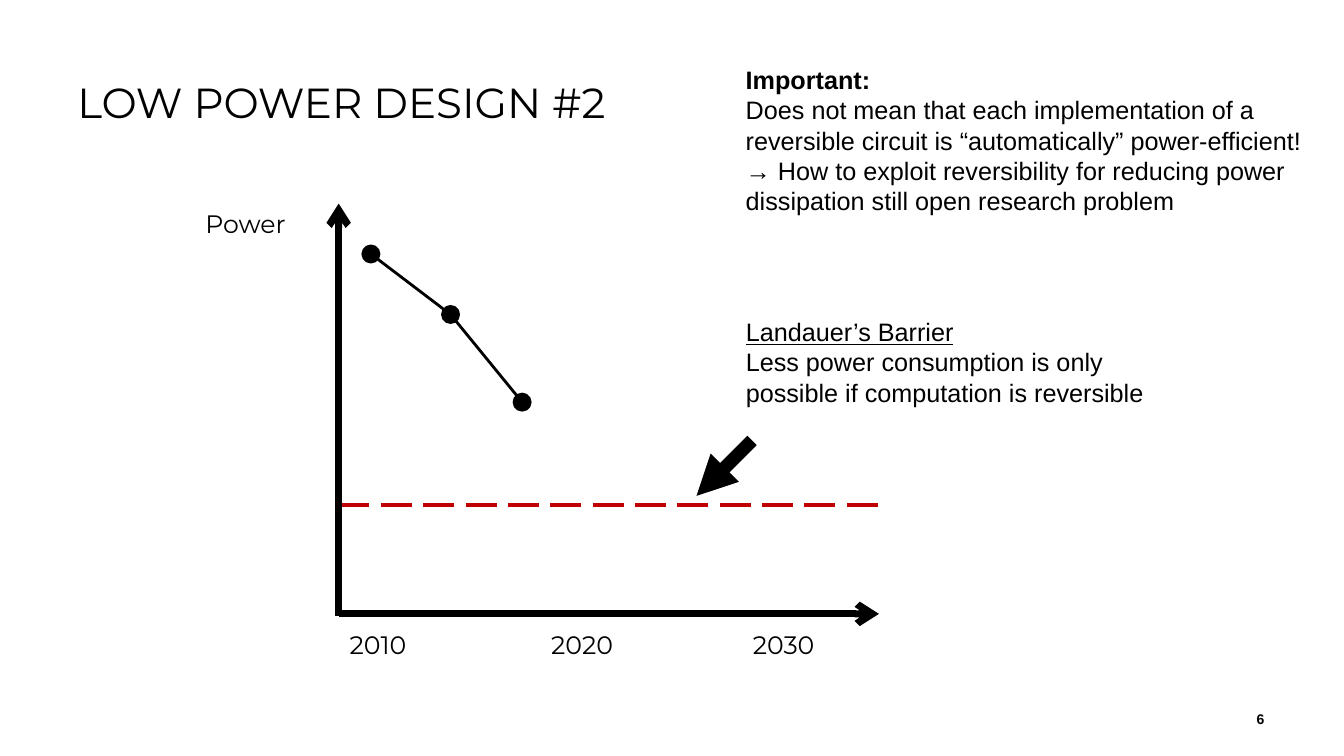
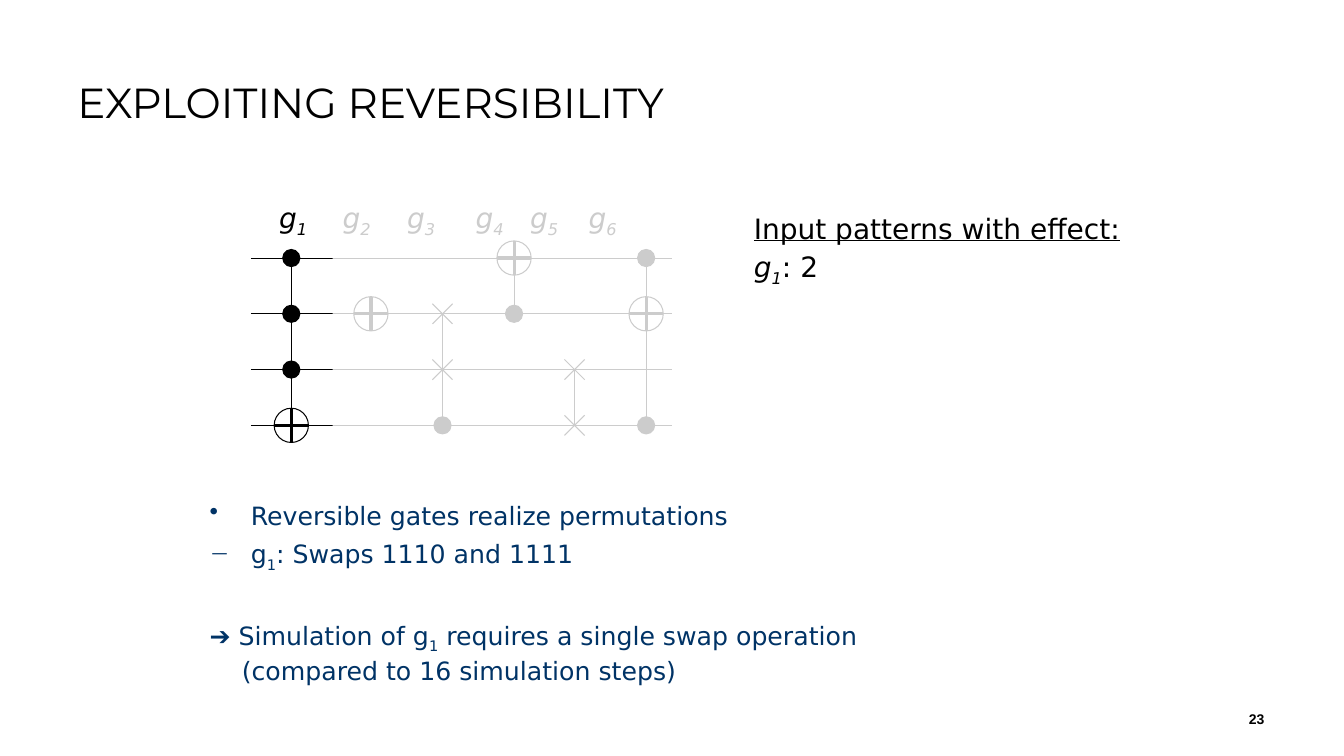
from dataclasses import dataclass
from typing import Optional

import lxml.etree
import pptx
import pptx.dml.color
import pptx.enum.dml
import pptx.enum.shapes
import pptx.enum.text
import pptx.oxml.ns
import pptx.util

CELL = pptx.util.Inches(0.1)
COLS, ROWS = 133.33, 75

BLACK = pptx.dml.color.RGBColor(0x00, 0x00, 0x00)
WHITE = pptx.dml.color.RGBColor(0xFF, 0xFF, 0xFF)
RED = pptx.dml.color.RGBColor(0xC0, 0x00, 0x00)
NAVY = pptx.dml.color.RGBColor(0x00, 0x33, 0x66)

HEAD_FONT, BODY_FONT, MATH_FONT = "Montserrat", "Arial", "DejaVu Sans"
BREAK = "\v"
ALIGN = pptx.enum.text.PP_ALIGN
ANCHOR = pptx.enum.text.MSO_ANCHOR
OVAL = pptx.enum.shapes.MSO_SHAPE.OVAL
RECT = pptx.enum.shapes.MSO_SHAPE.RECTANGLE


@dataclass(frozen=True)
class Box:
    col: float
    row: float
    cols: float
    rows: float


@dataclass(frozen=True)
class Style:
    font: str
    size: float
    color: pptx.dml.color.RGBColor = BLACK
    bold: bool = False
    italic: bool = False
    underline: bool = False


@dataclass(frozen=True)
class Span:
    text: str
    sub: bool = False
    bold: bool = False
    italic: bool = False
    underline: bool = False


@dataclass(frozen=True)
class Para:
    spans: tuple[Span, ...]
    bullet: str = ""
    hang: float = 0
    before: float = 0
    tabs: tuple[float, ...] = ()
    align: ALIGN = ALIGN.LEFT
    spacing: float = 1.0


@dataclass(frozen=True)
class Gate:
    col: float
    label_tab: float
    controls: tuple[int, ...] = ()
    targets: tuple[int, ...] = ()
    swaps: tuple[int, ...] = ()


TITLE_BOX = Box(6.7, 7.9, 118.7, 9.6)
NUMBER_BOX = Box(118.9, 69.3, 7.5, 4)
TITLE = Style(HEAD_FONT, 30)
NUMBER = Style(BODY_FONT, 10, bold=True)
AXIS = Style(HEAD_FONT, 18)
NOTE = Style(BODY_FONT, 18)
MATH = Style(MATH_FONT, 20)
POINTS = Style(MATH_FONT, 18, NAVY)

ORIGIN = (33.6, 60.9)
DATA = ((36.8, 25.2), (44.7, 31.2), (51.8, 39.9))
BARRIER_ROW = 50.1

WIRE_LEFT, WIRE_RIGHT = 24.9, 66.7
WIRES = [25.6 + 16.6 * i / 3 for i in range(4)]
GATES = (
    Gate(28.9, 0, controls=(0, 1, 2), targets=(3,)),
    Gate(36.8, 6.3, targets=(1,)),
    Gate(43.9, 12.7, controls=(3,), swaps=(1, 2)),
    Gate(51, 19.5, controls=(1,), targets=(0,)),
    Gate(57, 24.9, swaps=(2, 3)),
    Gate(64.1, 30.7, controls=(0, 3), targets=(1,)),
)


def cells(n: float) -> int:
    return round(n * CELL)


def add_xml(parent, tag: str, **attrs: str):
    el = lxml.etree.SubElement(parent, pptx.oxml.ns.qn(tag))
    for key, value in attrs.items():
        el.set(key, value)
    return el


def plain(text: str, **flags) -> Para:
    return Para((Span(text, **flags),))


def fill_paragraph(p, para: Para, style: Style) -> None:
    p.alignment, p.line_spacing = para.align, para.spacing
    p.space_before = pptx.util.Pt(para.before)
    pPr = p._p.get_or_add_pPr()
    if para.hang:
        pPr.set("marL", str(cells(para.hang)))
        pPr.set("indent", str(-cells(para.hang)))
    if para.bullet:
        add_xml(pPr, "a:buChar", char=para.bullet)
    if para.tabs:
        tabs = add_xml(pPr, "a:tabLst")
        for tab in para.tabs:
            add_xml(tabs, "a:tab", pos=str(cells(tab)), algn="l")
    for span in para.spans:
        if span.text == BREAK:
            p.add_line_break()
            continue
        r = p.add_run()
        r.text = span.text
        r.font.name, r.font.size = style.font, pptx.util.Pt(style.size)
        r.font.color.rgb = style.color
        r.font.bold = style.bold or span.bold
        r.font.italic = style.italic or span.italic
        r.font.underline = style.underline or span.underline
        if span.sub:
            r.font._element.set("baseline", "-25000")


def add_text(s, box: Box, style: Style, *paras: Para, anchor=ANCHOR.TOP) -> None:
    sp = s.shapes.add_textbox(*map(cells, (box.col, box.row, box.cols, box.rows)))
    tf = sp.text_frame
    tf.word_wrap, tf.vertical_anchor = True, anchor
    for i, para in enumerate(paras):
        fill_paragraph(tf.add_paragraph() if i else tf.paragraphs[0], para, style)


def add_line(s, start: tuple[float, float], end: tuple[float, float], width: float,
             color=BLACK, head: Optional[str] = None, dashed: bool = False) -> None:
    sp = s.shapes.add_connector(pptx.enum.shapes.MSO_CONNECTOR.STRAIGHT,
                                *map(cells, (*start, *end)))
    sp.line.color.rgb, sp.line.width = color, pptx.util.Pt(width)
    if dashed:
        sp.line.dash_style = pptx.enum.dml.MSO_LINE.LONG_DASH
    if head:
        add_xml(sp.line._get_or_add_ln(), "a:tailEnd", type=head)
    add_xml(sp._element.spPr, "a:effectLst")


def add_circle(s, col: float, row: float, size: float, width: float, filled: bool = True) -> None:
    sp = s.shapes.add_shape(OVAL, *map(cells, (col - size / 2, row - size / 2, size, size)))
    sp.shadow.inherit = False
    sp.line.color.rgb, sp.line.width = BLACK, pptx.util.Pt(width)
    if filled:
        sp.fill.solid()
        sp.fill.fore_color.rgb = BLACK
    else:
        sp.fill.background()


def add_veil(s, box: Box, opacity: float) -> None:
    sp = s.shapes.add_shape(RECT, *map(cells, (box.col, box.row, box.cols, box.rows)))
    sp.shadow.inherit = False
    sp.line.fill.background()
    sp.fill.solid()
    sp.fill.fore_color.rgb = WHITE
    color = sp._element.spPr.find(".//" + pptx.oxml.ns.qn("a:srgbClr"))
    add_xml(color, "a:alpha", val=str(round(opacity * 100000)))


def add_gate(s, gate: Gate) -> None:
    used = gate.controls + gate.targets + gate.swaps
    if len(used) > 1:
        add_line(s, (gate.col, WIRES[min(used)]), (gate.col, WIRES[max(used)]), 0.75)
    for i in gate.controls:
        add_circle(s, gate.col, WIRES[i], 1.7, 0.75)
    for i in gate.targets:
        x, y, arm = gate.col, WIRES[i], 1.7
        add_circle(s, x, y, 2 * arm, 0.75, filled=False)
        add_line(s, (x, y - arm), (x, y + arm), 2.25)
        add_line(s, (x - arm, y), (x + arm, y), 2.25)
    for i in gate.swaps:
        x, y, arm = gate.col, WIRES[i], 1
        for slope in (-1, 1):
            add_line(s, (x - arm, y - slope * arm), (x + arm, y + slope * arm), 0.75)


def add_slide(prs, title: str, number: int):
    s = prs.slides.add_slide(prs.slide_layouts[6])
    add_text(s, TITLE_BOX, TITLE, Para((Span(title),), spacing=0.83))
    add_text(s, NUMBER_BOX, NUMBER, Para((Span(str(number)),), align=ALIGN.RIGHT),
             anchor=ANCHOR.MIDDLE)
    return s


def build_power_slide(prs) -> None:
    s = add_slide(prs, "LOW POWER DESIGN #2", 6)
    x, y = ORIGIN
    add_line(s, (x, BARRIER_ROW), (87.1, BARRIER_ROW), 2.75, RED, dashed=True)
    add_line(s, (x, y + 0.2), (x, 20.2), 5, head="arrow")
    add_line(s, (x, y), (87.2, y), 5, head="arrow")
    add_text(s, Box(19.4, 20.2, 12.6, 4), AXIS, plain("Power"))
    add_text(s, Box(33.7, 61.9, 64.5, 4), AXIS,
             Para((Span("2010\t2020\t2030"),), tabs=(20, 40)))
    for start, end in zip(DATA, DATA[1:]):
        add_line(s, start, end, 2)
    for col, row in DATA:
        add_circle(s, col, row, 1.6, 2)
    add_line(s, (74.6, 43.7), (69.1, 49.2), 9.5, head="triangle")
    add_text(s, Box(73, 30.9, 44.1, 10.1), NOTE,
             plain("Landauer’s Barrier", underline=True),
             plain("Less power consumption is only possible if computation is reversible"))
    add_text(s, Box(73, 5.9, 57.6, 16.2), NOTE,
             plain("Important:", bold=True),
             plain("Does not mean that each implementation of a reversible circuit is "
                   "“automatically” power-efficient!"),
             plain("→ How to exploit reversibility for reducing power dissipation "
                   "still open research problem"))


def build_circuit_slide(prs) -> None:
    s = add_slide(prs, "EXPLOITING REVERSIBILITY", 23)
    one = Span("1", sub=True)
    add_text(s, Box(19.8, 49.1, 92.2, 19.9), POINTS,
             Para((Span("Reversible gates realize permutations"),), "•", 4.1),
             Para((Span("g"), one, Span(": Swaps 1110 and 1111")), "−", 4.1, before=6),
             Para((Span("➔ Simulation of g"), one,
                   Span(" requires a single swap operation"), Span(BREAK),
                   Span("(compared to 16 simulation steps)")), hang=3.2, before=34))
    add_text(s, Box(73.8, 20.5, 39.4, 5.3), MATH,
             plain("Input patterns with effect:", underline=True))
    add_text(s, Box(73.8, 24.3, 12.6, 14.8), MATH,
             Para((Span("g", italic=True), Span("1", sub=True, italic=True), Span(": 2"))))

    labels = []
    for i, gate in enumerate(GATES, 1):
        labels += [Span("\tg" if gate.label_tab else "g", italic=True),
                   Span(str(i), sub=True, italic=True)]
    add_text(s, Box(26.7, 19.4, 41.7, 4.7), MATH,
             Para(tuple(labels), tabs=tuple(g.label_tab for g in GATES[1:])))
    for row in WIRES:
        add_line(s, (WIRE_LEFT, row), (WIRE_RIGHT, row), 0.75)
    for gate in GATES:
        add_gate(s, gate)
    add_veil(s, Box(33, 20.1, 35.4, 23.7), 0.8)


def main() -> None:
    prs = pptx.Presentation()
    prs.slide_width, prs.slide_height = cells(COLS), cells(ROWS)
    build_power_slide(prs)
    build_circuit_slide(prs)
    prs.save("out.pptx")


if __name__ == "__main__":
    main()
